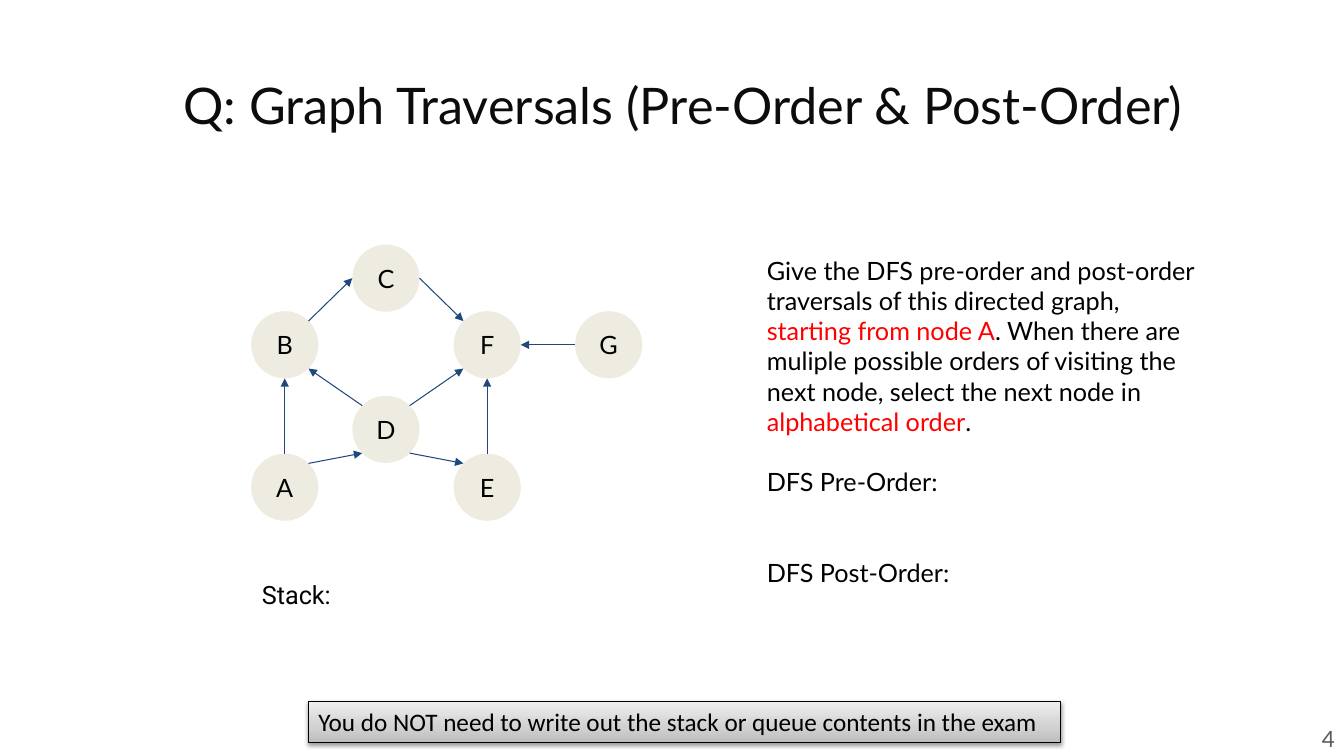
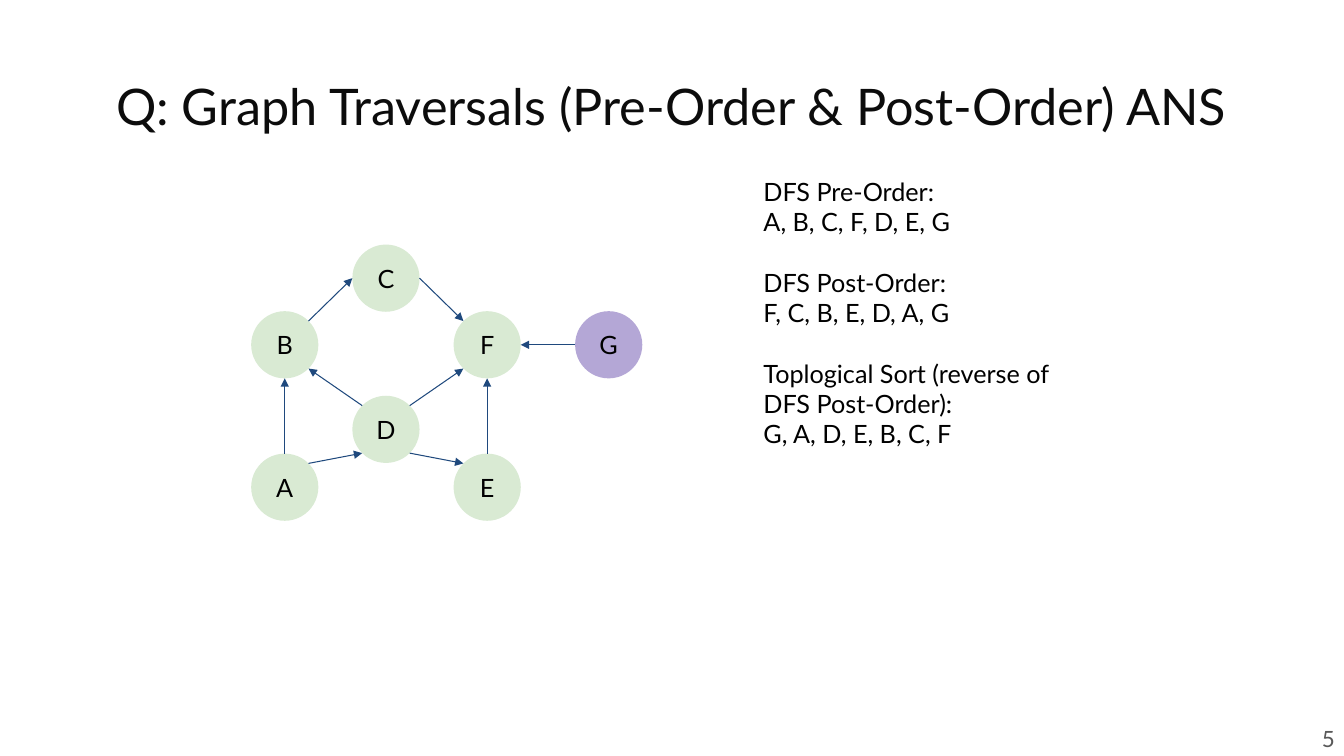
from math import sqrt

from lxml import etree
from pptx import Presentation
from pptx.dml.color import RGBColor
from pptx.enum.shapes import MSO_CONNECTOR, MSO_SHAPE
from pptx.enum.text import MSO_ANCHOR, PP_ALIGN
from pptx.oxml.ns import qn
from pptx.util import Pt

OVAL, RECTANGLE = MSO_SHAPE.OVAL, MSO_SHAPE.RECTANGLE
STRAIGHT = MSO_CONNECTOR.STRAIGHT
LEFT, CENTER, RIGHT = PP_ALIGN.LEFT, PP_ALIGN.CENTER, PP_ALIGN.RIGHT
TOP, MIDDLE = MSO_ANCHOR.TOP, MSO_ANCHOR.MIDDLE

COLORS = {
    "text": "000000",
    "title": "0C0C0C",
    "number": "595959",
    "accent": "FF0000",
    "edge": "1F497D",
    "unvisited": "EEECE1",
    "first tree": "D9EAD3",
    "second tree": "B4A7D6",
    "shade dark": "BDBDBD",
    "shade middle": "D1D1D1",
    "shade light": "EEEEEE",
}
INSET = 7.2
BODY_SIZE = 18
BLANK_LINE = 21.6

NODE_SIZE = 48
COLUMNS = (203.4, 275.7, 348, 434.8)
ROWS = (198.7, 246.3, 306.7, 348)
NODES = {  # column and row of each centre
    "A": (0, 3), "B": (0, 1), "D": (1, 2), "E": (2, 3),
    "F": (2, 1), "C": (1, 0), "G": (3, 1),
}
EDGES = (  # start node and side, end node and side
    "A n B s", "A ne D sw", "D nw B se", "B ne C w", "D ne F sw",
    "D se E nw", "E n F s", "C e F nw", "G w F e",
)


def rgb(name):
    return RGBColor.from_string(COLORS[name])


def add_element(parent, tag, **attributes):
    return etree.SubElement(parent, qn(tag), attributes)


def node_center(name):
    column, row = NODES[name]
    return COLUMNS[column], ROWS[row]


def rim_point(name, side):
    """Point on a node's rim towards a compass side such as "ne"."""
    x, y = node_center(name)
    step = NODE_SIZE / 2 / sqrt(len(side))
    return (x + step * (("e" in side) - ("w" in side)),
            y + step * (("s" in side) - ("n" in side)))


class Slides:
    def __init__(self):
        self.deck = Presentation()
        self.deck.slide_width, self.deck.slide_height = Pt(960), Pt(540)
        self.page = None

    def new_page(self, title, title_area, number):
        self.page = self.deck.slides.add_slide(self.deck.slide_layouts[6])
        self.text(title_area, [title], 36, "title", align=CENTER)
        self.text((918.7, 511.2, 41.8, 33.1), [number], 16, "number",
                  align=RIGHT, anchor=MIDDLE)

    def fill_text(self, box, paragraphs, size=BODY_SIZE, color="text", font="Lato",
                  align=LEFT, anchor=TOP, inset=INSET):
        """Fill a box; an item is text or (space before, text), |accented| parts in red."""
        frame = box.text_frame
        frame.word_wrap = True
        frame.vertical_anchor = anchor
        frame.margin_left = frame.margin_right = Pt(INSET)
        frame.margin_top = frame.margin_bottom = Pt(inset)
        for index, item in enumerate(paragraphs):
            gap, text = item if isinstance(item, tuple) else (0, item)
            para = frame.add_paragraph() if index else frame.paragraphs[0]
            para.alignment = align
            if gap:
                para.space_before = Pt(gap)
            for position, part in enumerate(text.split("|")):
                span = para.add_run()
                span.text = part
                span.font.name, span.font.size = font, Pt(size)
                span.font.color.rgb = rgb("accent" if position % 2 else color)

    def text(self, area, paragraphs, *style, **options):
        box = self.page.shapes.add_textbox(*map(Pt, area))
        self.fill_text(box, paragraphs, *style, **options)

    def node(self, name, fill):
        x, y = node_center(name)
        circle = self.page.shapes.add_shape(
            OVAL, Pt(x - NODE_SIZE / 2), Pt(y - NODE_SIZE / 2),
            Pt(NODE_SIZE), Pt(NODE_SIZE))
        circle.shadow.inherit = False
        circle.fill.solid()
        circle.fill.fore_color.rgb = rgb(fill)
        circle.line.fill.background()
        self.fill_text(circle, [name], align=CENTER, anchor=MIDDLE)

    def arrow(self, start, end):
        arrow = self.page.shapes.add_connector(STRAIGHT, *map(Pt, start + end))
        arrow.line.color.rgb = rgb("edge")
        arrow.line.width = Pt(0.75)
        properties = arrow._element.spPr
        add_element(properties.find(qn("a:ln")), "a:tailEnd", type="triangle")
        add_element(properties, "a:effectLst")

    def graph(self, fill, **special_fills):
        for name in NODES:
            self.node(name, special_fills.get(name, fill))
        for edge in EDGES:
            start, start_side, end, end_side = edge.split()
            self.arrow(rim_point(start, start_side), rim_point(end, end_side))

    def banner(self, area, text):
        """Shaded, outlined bar with a soft shadow below it."""
        bar = self.page.shapes.add_shape(RECTANGLE, *map(Pt, area))
        bar.fill.gradient()
        bar.fill.gradient_angle = 90
        bar.line.color.rgb = rgb("text")
        bar.line.width = Pt(0.75)
        bar.shadow.inherit = False
        properties = bar._element.spPr
        stops = properties.find(".//" + qn("a:gsLst"))
        stops[:] = []
        for percent, shade in ((0, "dark"), (35, "middle"), (100, "light")):
            stop = add_element(stops, "a:gs", pos=str(percent * 1000))
            add_element(stop, "a:srgbClr", val=COLORS["shade " + shade])
        shadow = add_element(
            properties.find(qn("a:effectLst")), "a:outerShdw",
            blurRad=str(Pt(3.1)), dist=str(Pt(1.6)), dir="5400000", rotWithShape="0")
        color = add_element(shadow, "a:srgbClr", val=COLORS["text"])
        add_element(color, "a:alpha", val="38000")
        self.fill_text(bar, [text], font="Calibri", inset=INSET / 2)


def main():
    slides = Slides()
    title = "Q: Graph Traversals (Pre-Order & Post-Order)"

    slides.new_page(title, (107.3, 46.1, 761, 60.5), "4")
    slides.graph("unvisited")
    slides.text((540.7, 175, 326.9, 254.2), [
        "Give the DFS pre-order and post-order traversals of this directed graph, "
        "|starting from node A|. When there are muliple possible orders of visiting "
        "the next node, select the next node in |alphabetical order|.",
        (BLANK_LINE, "DFS Pre-Order:"),
        (2 * BLANK_LINE, "DFS Post-Order:"),
    ])
    slides.text((180, 406.8, 577.4, 36), ["Stack:"], font="Roboto")
    slides.banner((220.3, 501.1, 537.1, 29),
                  "You do NOT need to write out the stack or queue contents in the exam")

    slides.new_page(title + " ANS", (32.4, 46.5, 894.2, 60.5), "5")
    slides.graph("first tree", G="second tree")
    slides.text((538.3, 118.8, 249.1, 211), [
        "DFS Pre-Order:",
        "A, B, C, F, D, E, G",
        (BLANK_LINE, "DFS Post-Order:"),
        "F, C, B, E, D, A, G",
        (BLANK_LINE, "Toplogical Sort (reverse of DFS Post-Order):"),
        "G, A, D, E, B, C, F",
    ])

    slides.deck.save("out.pptx")


if __name__ == "__main__":
    main()
